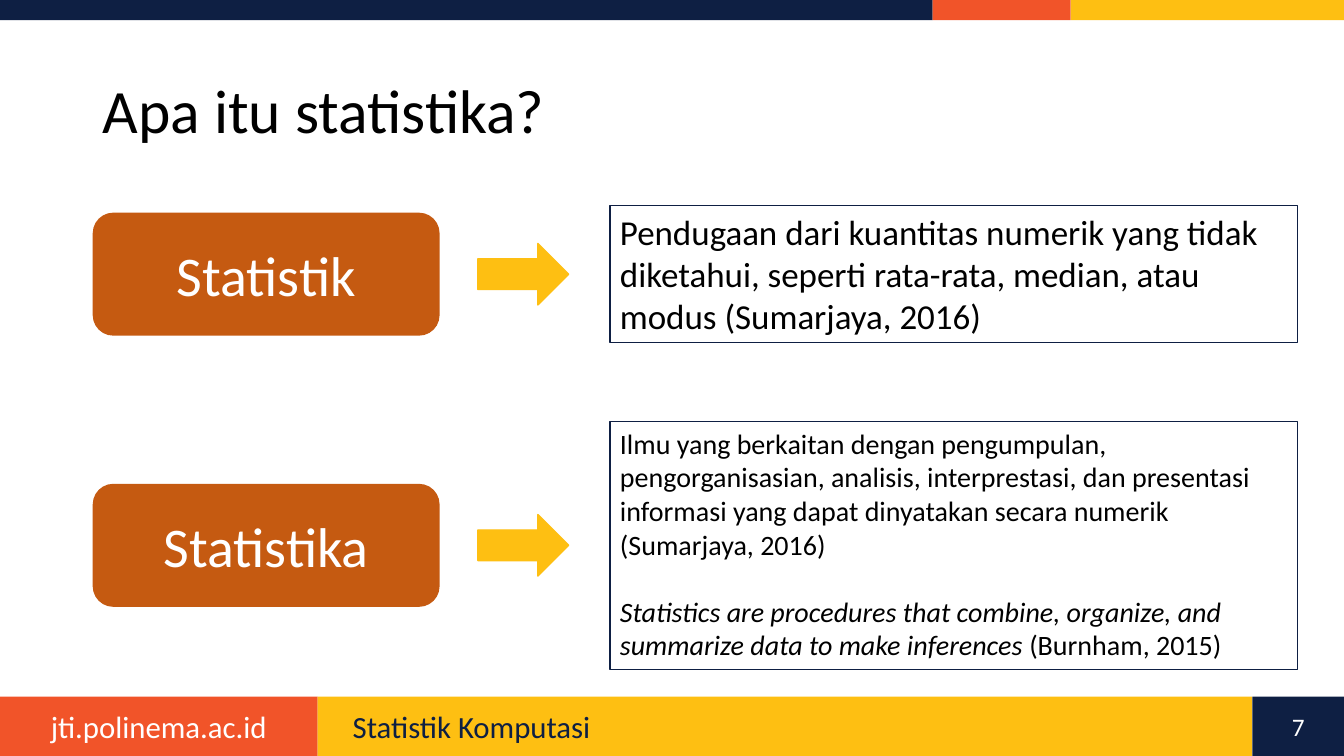
from pptx import Presentation
from pptx.dml.color import RGBColor
from pptx.enum.shapes import MSO_SHAPE
from pptx.enum.text import MSO_ANCHOR, PP_ALIGN
from pptx.util import Inches, Pt

RECT = MSO_SHAPE.RECTANGLE
ROUND = MSO_SHAPE.ROUNDED_RECTANGLE
ARROW = MSO_SHAPE.RIGHT_ARROW
LEFT, CENTER = PP_ALIGN.LEFT, PP_ALIGN.CENTER
TOP, MIDDLE = MSO_ANCHOR.TOP, MSO_ANCHOR.MIDDLE

FONT = "Calibri"
COLORS = {
    "navy": "0E1F43",
    "red": "F15429",
    "gold": "FEBF12",
    "rust": "C55A11",
    "white": "FFFFFF",
    "black": "000000",
}
WIDE, HIGH = 13.33, 7.5


def color(name):
    return RGBColor.from_string(COLORS[name])


def add_shape(slide, kind, box, fill=None, line=None, weight=0.75):
    shape = slide.shapes.add_shape(kind, *map(Inches, box))
    shape.shadow.inherit = False
    if fill:
        shape.fill.solid()
        shape.fill.fore_color.rgb = color(fill)
    else:
        shape.fill.background()
    if line:
        shape.line.color.rgb = color(line)
        shape.line.width = Pt(weight)
    else:
        shape.line.fill.background()
    return shape


def write(shape, paras, size, ink, align=LEFT, anchor=MIDDLE, gap=0, spacing=1.0):
    """Fill a shape with paragraphs, each a list of (text, italic) runs."""
    frame = shape.text_frame
    frame.word_wrap = True
    frame.vertical_anchor = anchor
    for i, runs in enumerate(paras):
        para = frame.add_paragraph() if i else frame.paragraphs[0]
        para.alignment = align
        para.line_spacing = spacing
        if i:
            para.space_before = Pt(gap)
        for text, italic in runs:
            run = para.add_run()
            run.text = text
            run.font.name = FONT
            run.font.size = Pt(size)
            run.font.italic = italic
            run.font.color.rgb = color(ink)


def add_label(slide, box, text, size, ink, align):
    label = slide.shapes.add_textbox(*map(Inches, box))
    write(label, [[(text, False)]], size, ink, align)


def add_strip(slide, top, height, edges, fills):
    """Draw a full-width band cut into colours at the given edges."""
    for left, right, fill in zip(edges, edges[1:], fills):
        add_shape(slide, RECT, (left, top, right - left, height), fill)


def add_footer(slide, top, height):
    edges = [0, 3.15, 12.42, WIDE]
    add_strip(slide, top, height, edges, ["red", "gold", "navy"])
    add_label(slide, (0, top, edges[1], height),
              "jti.polinema.ac.id", 22, "white", CENTER)
    add_label(slide, (edges[1] + 0.25, top, 8.74, height),
              "Statistik Komputasi", 22, "navy", LEFT)
    add_label(slide, (edges[2], top, WIDE - edges[2], height),
              "7", 18, "white", CENTER)


def add_title(slide, box, text):
    title = slide.shapes.title
    title.left, title.top, title.width, title.height = map(Inches, box)
    write(title, [[(text, False)]], 44, "black", spacing=0.9)


def add_term(slide, left, middle, height, term, paras, size):
    """Draw term, arrow and definition, all centred on one line."""
    def place(shift, width, tall):
        return left + shift, middle - tall / 2, width, tall

    name = add_shape(slide, ROUND, place(0, 3.44, 1.22), "rust")
    write(name, [[(term, False)]], 40, "white", CENTER)
    add_shape(slide, ARROW, place(3.82, 0.9, 0.61), "gold", "gold", 1)
    text = add_shape(slide, RECT, place(5.13, 6.82, height), line="navy")
    write(text, paras, size, "black", anchor=TOP, gap=24)


def main():
    deck = Presentation()
    deck.slide_width, deck.slide_height = Inches(WIDE), Inches(HIGH)
    slide = deck.slides.add_slide(deck.slide_layouts[5])

    add_strip(slide, 0, 0.2, [0, 9.25, 10.62, WIDE], ["navy", "red", "gold"])
    add_footer(slide, 6.91, 0.59)
    add_title(slide, (0.92, 0.4, 10.24, 1.45), "Apa itu statistika?")
    add_term(slide, 0.92, 2.72, 1.36, "Statistik", [
        [("Pendugaan dari kuantitas numerik yang tidak diketahui, seperti "
          "rata-rata, median, atau modus (Sumarjaya, 2016)", False)],
    ], 25)
    add_term(slide, 0.92, 5.41, 2.46, "Statistika", [
        [("Ilmu yang berkaitan dengan pengumpulan, pengorganisasian, analisis, "
          "interprestasi, dan presentasi informasi yang dapat dinyatakan "
          "secara numerik (Sumarjaya, 2016)", False)],
        [("Statistics are procedures that combine, organize, and summarize "
          "data to make inferences ", True), ("(Burnham, 2015)", False)],
    ], 20)
    deck.save("out.pptx")


if __name__ == "__main__":
    main()
